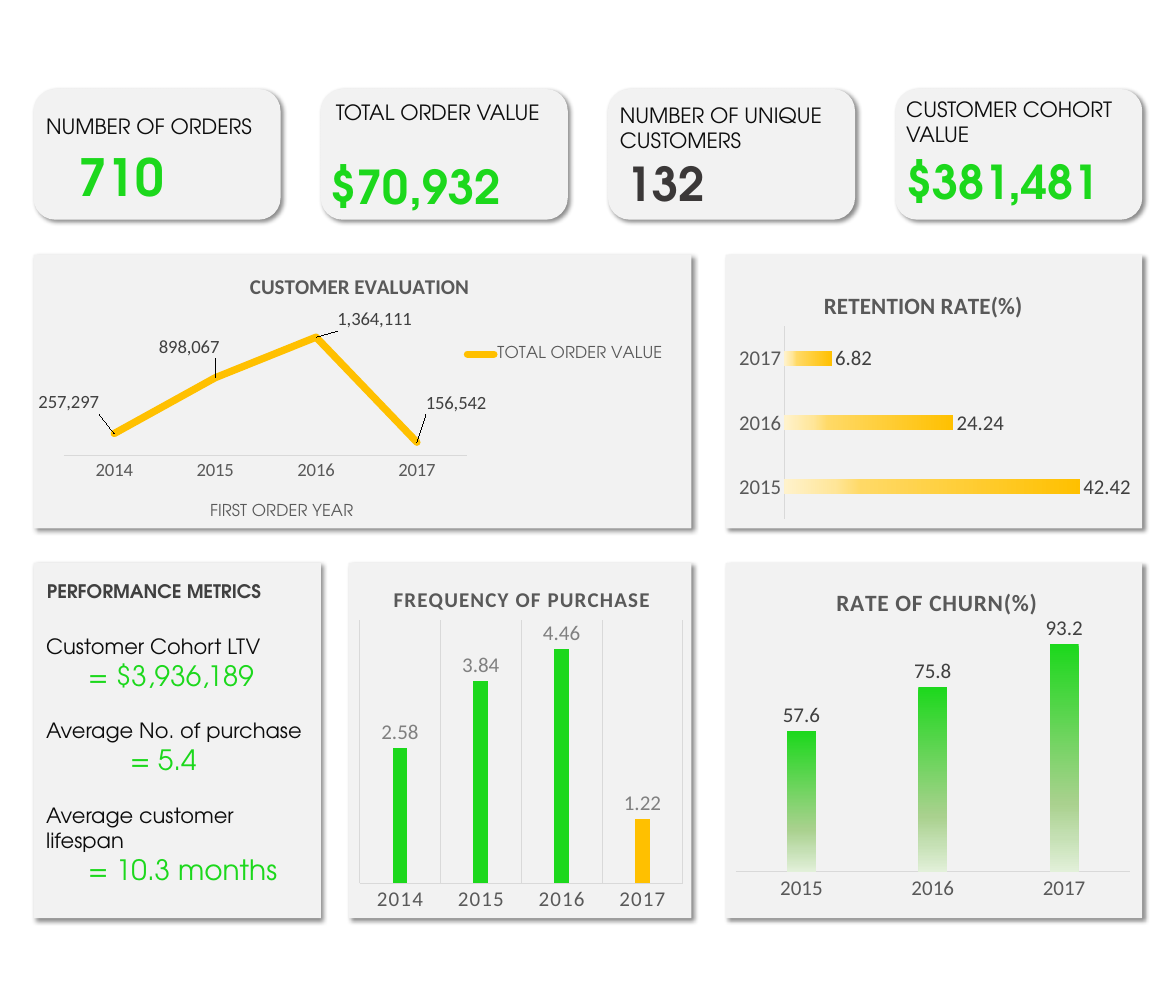
"""Build a one-page customer dashboard of cards, panels and charts."""
from dataclasses import dataclass
from typing import Any, NamedTuple, Optional

from lxml.etree import SubElement as Sub
from pptx import Presentation
from pptx.chart.data import CategoryChartData as Data
from pptx.dml.color import RGBColor as Rgb
from pptx.enum.chart import XL_CHART_TYPE as Kind
from pptx.enum.chart import XL_LABEL_POSITION as Spot
from pptx.enum.chart import XL_LEGEND_POSITION as Side
from pptx.enum.chart import XL_TICK_MARK as Tick
from pptx.enum.shapes import MSO_SHAPE as Form
from pptx.oxml.ns import qn
from pptx.util import Pt


@dataclass(frozen=True)
class Theme:
    face: str = "TeX Gyre Adventor"
    plain: str = "Calibri"
    panel: str = "F2F2F2"
    ink: str = "0D0D0D"
    dark: str = "3B3838"
    label: str = "404040"
    gray: str = "595959"
    pale: str = "808080"
    rule: str = "D9D9D9"
    green: str = "1CD81C"
    amber: str = "FFC000"
    note: float = 14
    small: float = 16
    body: float = 18
    head: float = 20
    large: float = 24
    huge: float = 40
    top: float = 44


T = Theme()


class Box(NamedTuple):
    x: float
    y: float
    w: float
    h: float


class Line(NamedTuple):
    text: str
    size: float
    color: str
    bold: bool = False
    inset: float = 0
    before: float = 0


class Card(NamedTuple):
    name: str
    value: str
    name_at: Box
    value_at: Box
    color: str = T.green
    size: float = T.huge


class Blend(NamedTuple):
    angle: int
    stops: tuple[tuple[int, str], ...]


@dataclass(frozen=True)
class Graph:
    kind: Kind
    box: Box
    title: str
    title_at: tuple[float, float]
    plot: Box
    series: str
    cats: tuple[str, ...]
    vals: tuple[float, ...]
    peak: float
    size: float = T.body
    head: float = T.head
    track: int = 0
    label: str = T.label
    gap: int = 100
    lap: int = 0
    rule: float = 0.75
    blend: Optional[Blend] = None
    form: str = "General"


CARDS = (
    Card("NUMBER OF ORDERS", "710", Box(32.4, 93.6, 217, 29), Box(59.8, 121, 103, 60.5), size=T.top),
    Card("TOTAL ORDER VALUE", "$70,932", Box(280.8, 81.4, 191, 51), Box(276.5, 131.8, 208, 55.4)),
    Card("NUMBER OF UNIQUE CUSTOMERS", "132", Box(524.2, 84.2, 208, 51), Box(530, 128.9, 83, 55.4), T.dark),
    Card("CUSTOMER COHORT VALUE", "$381,481", Box(769.7, 79.2, 201.6, 51), Box(769.7, 127.4, 199, 55.4)),
)
PANELS = (
    Box(28.8, 218.2, 563.8, 234.7), Box(622, 218.2, 357.1, 234.7),
    Box(28.8, 482.4, 246.2, 304.6), Box(298.8, 482.4, 293.8, 304.6), Box(622, 482.4, 357.1, 304.6),
)
METRICS = (
    Line("Customer Cohort LTV", T.body, T.ink),
    Line("= $3,936,189", T.large, T.green, inset=36),
    Line("Average No. of purchase", T.body, T.ink, before=22),
    Line("= 5.4", T.large, T.green, inset=72),
    Line("Average customer lifespan", T.body, T.ink, before=22),
    Line("= 10.3 months", T.large, T.green, inset=36),
)
YEARS = ("2014", "2015", "2016", "2017")
KEEP = Graph(
    Kind.BAR_CLUSTERED, Box(628.6, 229, 340.6, 220.3), "RETENTION RATE(%)", (0.22, 0.07),
    Box(0.13, 0.23, 0.8, 0.75), "Series 1", YEARS[1:], (42.42, 24.24, 6.82), 45, gap=326, lap=-58, rule=1.5,
    blend=Blend(180, ((0, T.amber), (74, "FFD966"), (83, "FFE699"), (100, "FFF2CC"))))
BUYS = Graph(
    Kind.COLUMN_CLUSTERED, Box(302.4, 483.1, 288.7, 304.6), "FREQUENCY OF PURCHASE", (0.11, 0.05),
    Box(0.02, 0.16, 0.96, 0.74), "FREQUENCY OF PURCHASE", YEARS, (2.58, 3.84, 4.46, 1.22), 5,
    head=T.body, track=100, label=T.pale, gap=444, lap=-90)
CHURN = Graph(
    Kind.COLUMN_CLUSTERED, Box(619.9, 483.1, 359.3, 303.8), "RATE OF CHURN(%)", (0.26, 0.05),
    Box(0.03, 0.18, 0.94, 0.69), "Series 1", YEARS[1:], (57.6, 75.8, 93.2), 100, track=50, gap=355, lap=-70,
    blend=Blend(90, ((0, T.green), (70, "A9D18E"), (85, "C5E0B4"), (100, "E2F0D9"))))
WORTH = Graph(
    Kind.LINE, Box(32.4, 223.2, 558, 229.7), "CUSTOMER EVALUATION", (0.32, 0.03),
    Box(0.04, 0.21, 0.62, 0.52), "TOTAL ORDER VALUE", YEARS, (257297, 898067, 1364111, 156542), 1600000,
    size=T.small, head=T.body, form="#,##0")
SHIFTS = ((-0.07, -0.06), (-0.04, -0.06), (0.09, -0.01), (0.06, -0.09))


def style(font: Any, size: float, color: str, bold: bool = False, face: str = T.plain) -> None:
    font.size, font.bold, font.name = Pt(size), bold, face
    font.color.rgb = Rgb.from_string(color)


def frame(box: Box) -> tuple[Pt, ...]:
    return tuple(Pt(part) for part in box)


def add_panel(slide: Any, form: Form, box: Box) -> None:
    shape = slide.shapes.add_shape(form, *frame(box))
    shape.fill.solid()
    shape.fill.fore_color.rgb = Rgb.from_string(T.panel)
    shape.line.fill.background()
    shape.shadow.inherit = False
    glow = Sub(shape._element.spPr.find(qn("a:effectLst")), qn("a:outerShdw"), blurRad=str(Pt(4)),
               dist=str(Pt(3)), dir="2700000", algn="tl", rotWithShape="0")
    Sub(Sub(glow, qn("a:srgbClr"), val="000000"), qn("a:alpha"), val="45000")


def add_text(slide: Any, box: Box, *lines: Line) -> None:
    frame_in = slide.shapes.add_textbox(*frame(box)).text_frame
    frame_in.word_wrap = True
    for i, line in enumerate(lines):
        para = frame_in.add_paragraph() if i else frame_in.paragraphs[0]
        para.space_before = Pt(line.before)
        para._p.get_or_add_pPr().set("marL", str(Pt(line.inset)))
        run = para.add_run()
        run.text = line.text
        style(run.font, line.size, line.color, line.bold, T.face)


def place(node: Any, index: int, mode: str = "edge", inner: bool = False, **spots: float) -> None:
    lay = node.find(qn("c:layout"))
    if lay is None:
        lay = node.makeelement(qn("c:layout"))
        node.insert(index, lay)
    hand = Sub(lay, qn("c:manualLayout"))
    modes = {"layoutTarget": "inner"} if inner else {}
    modes |= {"xMode": mode, "yMode": mode}
    for tag, val in (modes | spots).items():
        Sub(hand, qn(f"c:{tag}"), val=str(val))


def set_title(title: Any, text: str, at: tuple[float, float], size: float, bold: bool, face: str,
              track: int = 0) -> None:
    run = title.text_frame.paragraphs[0].add_run()
    run.text = text
    style(run.font, size, T.gray, bold, face)
    run._r.get_or_add_rPr().set("spc", str(track))
    place(title._element, 1, x=at[0], y=at[1])


def clear(chart: Any) -> None:
    root = chart._chartSpace.find(qn("c:chart"))
    skin = root.makeelement(qn("c:spPr"))
    root.addnext(skin)
    Sub(skin, qn("a:noFill"))
    Sub(Sub(skin, qn("a:ln")), qn("a:noFill"))


def paint(series: Any, blend: Optional[Blend]) -> None:
    fill = series.format.fill
    if blend is None:
        fill.solid()
        fill.fore_color.rgb = Rgb.from_string(T.green)
        return
    fill.gradient()
    grad = series._element.find(f".//{qn('a:gradFill')}")
    for node in list(grad):
        grad.remove(node)
    stops = Sub(grad, qn("a:gsLst"))
    for pos, color in blend.stops:
        Sub(Sub(stops, qn("a:gs"), pos=str(pos * 1000)), qn("a:srgbClr"), val=color)
    Sub(grad, qn("a:lin"), ang=str(blend.angle * 60000), scaled="0")


def draw_rule(line: Any, width: float, color: str = T.rule) -> None:
    line.color.rgb = Rgb.from_string(color)
    line.width = Pt(width)


def add_graph(slide: Any, graph: Graph) -> Any:
    data = Data(number_format=graph.form)
    data.categories = graph.cats
    data.add_series(graph.series, graph.vals)
    chart = slide.shapes.add_chart(graph.kind, *frame(graph.box), data).chart
    clear(chart)
    style(chart.font, 10, "000000")
    chart.has_legend, chart.has_title = False, True
    set_title(chart.chart_title, graph.title, graph.title_at, graph.head, True, T.plain, graph.track)
    place(chart._chartSpace.find(f".//{qn('c:plotArea')}"), 0, inner=True, **graph.plot._asdict())
    cat, val = chart.category_axis, chart.value_axis
    val.visible = val.has_major_gridlines = False
    val.minimum_scale, val.maximum_scale = 0, graph.peak
    cat.major_tick_mark = Tick.NONE
    style(cat.tick_labels.font, graph.size, T.gray)
    draw_rule(cat.format.line, graph.rule)
    plot = chart.plots[0]
    plot.vary_by_categories = False
    if graph.kind != Kind.LINE:
        plot.gap_width, plot.overlap = graph.gap, graph.lap
        paint(plot.series[0], graph.blend)
        plot.has_data_labels = True
        plot.data_labels.show_value = True
        plot.data_labels.position = Spot.OUTSIDE_END
        style(plot.data_labels.font, graph.size, graph.label)
    return chart


def add_buys(slide: Any) -> None:
    chart = add_graph(slide, BUYS)
    axis = chart.category_axis
    axis.has_major_gridlines = True
    draw_rule(axis.major_gridlines.format.line, BUYS.rule)
    axis._element.find(f".//{qn('a:defRPr')}").set("spc", str(BUYS.track))
    fill = chart.plots[0].series[0].points[3].format.fill
    fill.solid()
    fill.fore_color.rgb = Rgb.from_string(T.amber)


def add_worth(slide: Any) -> None:
    chart = add_graph(slide, WORTH)
    series = chart.plots[0].series[0]
    series.smooth = False
    draw_rule(series.format.line, 6.25, T.amber)
    series._element.find(f".//{qn('a:ln')}").set("cap", "rnd")
    for i, (x, y) in enumerate(SHIFTS):
        label = series.points[i].data_label
        label.position = Spot.ABOVE
        style(label.font, WORTH.size, WORTH.label)
        place(series._element.findall(f".//{qn('c:dLbl')}")[i], 1, "factor", x=x, y=y)
    axis = chart.category_axis
    axis.has_title = True
    set_title(axis.axis_title, "FIRST ORDER YEAR", (0.26, 0.89), T.note, False, T.face)
    chart.has_legend = True
    chart.legend.position = Side.RIGHT
    chart.legend.include_in_layout = False
    style(chart.legend.font, T.note, T.gray, face=T.face)
    place(chart.legend._element, 1, x=0.65, y=0.3, w=0.32, h=0.1)


def main() -> None:
    deck = Presentation()
    deck.slide_width, deck.slide_height = Pt(1008), Pt(864)
    slide = deck.slides.add_slide(deck.slide_layouts[6])
    for box in PANELS:
        add_panel(slide, Form.RECTANGLE, box)
    for i, card in enumerate(CARDS):
        add_panel(slide, Form.ROUNDED_RECTANGLE, Box(28.8 + 246.2 * i, 76.3, 211.7, 112))
        add_text(slide, card.name_at, Line(card.name, T.body, T.ink))
        add_text(slide, card.value_at, Line(card.value, card.size, card.color, True))
    add_text(slide, Box(33.1, 493.2, 239.8, 26.6), Line("PERFORMANCE METRICS", T.small, T.label, True))
    add_text(slide, Box(32.4, 539.3, 236.9, 225.4), *METRICS)
    add_graph(slide, KEEP)
    add_buys(slide)
    add_graph(slide, CHURN)
    add_worth(slide)
    deck.save("out.pptx")


if __name__ == "__main__":
    main()
